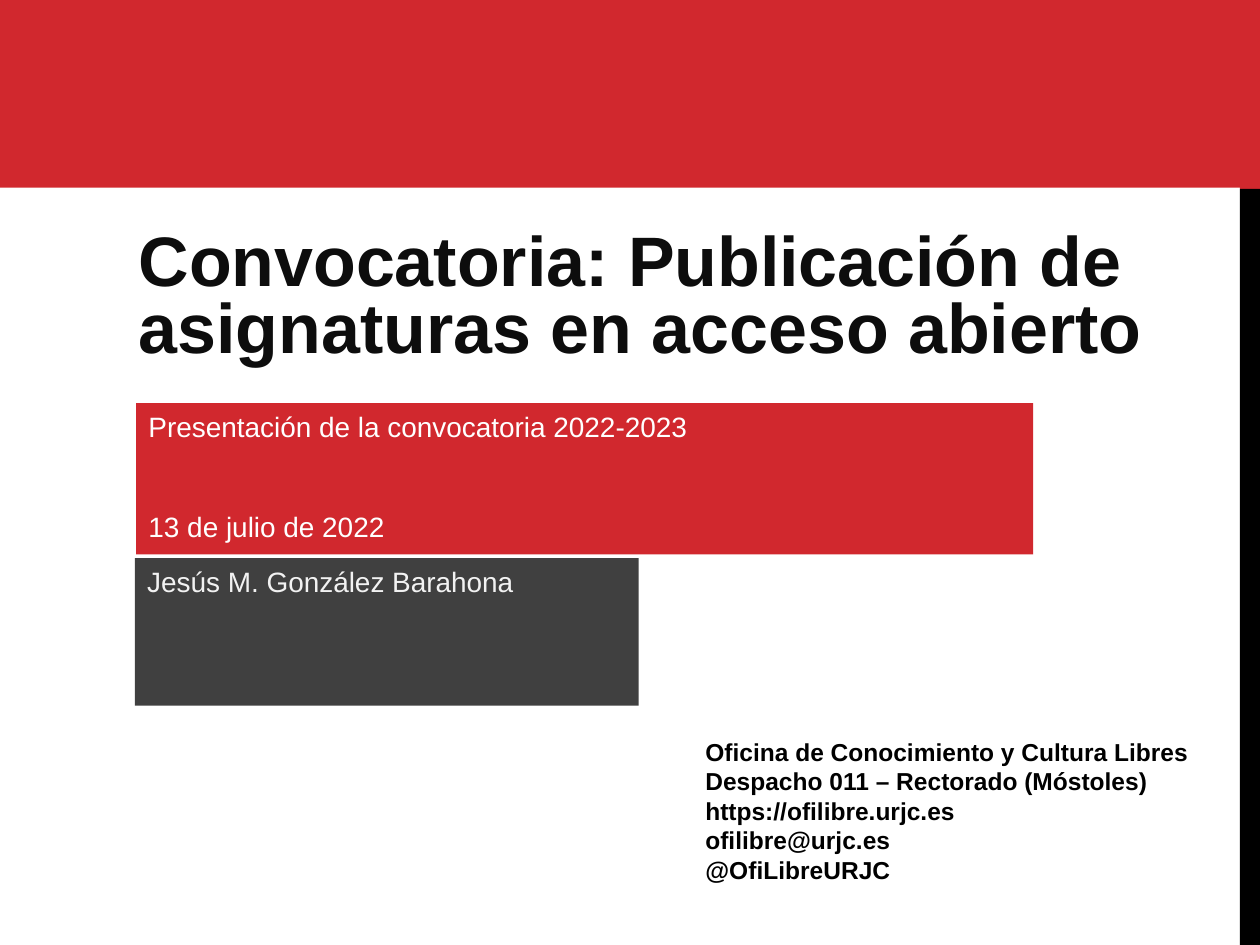
from pptx import Presentation
from pptx.dml.color import RGBColor
from pptx.enum.shapes import MSO_SHAPE
from pptx.enum.text import MSO_ANCHOR, PP_ALIGN
from pptx.util import Inches, Pt

RED = RGBColor(0xD1, 0x28, 0x2E)
BLACK = RGBColor(0x00, 0x00, 0x00)
TITLE_BLACK = RGBColor(0x0D, 0x0D, 0x0D)
DARK_GRAY = RGBColor(0x40, 0x40, 0x40)
LIGHT_GRAY = RGBColor(0xF2, 0xF2, 0xF2)
WHITE = RGBColor(0xFF, 0xFF, 0xFF)

RECTANGLE = MSO_SHAPE.RECTANGLE
TOP, BOTTOM = MSO_ANCHOR.TOP, MSO_ANCHOR.BOTTOM
LEFT = PP_ALIGN.LEFT

FONT = "Arial"
TITLE = "Convocatoria: Publicación de asignaturas en acceso abierto"
EVENT = ["Presentación de la convocatoria 2022-2023", "13 de julio de 2022"]
SPEAKER = ["Jesús M. González Barahona"]
CONTACT = [
    "Oficina de Conocimiento y Cultura Libres",
    "Despacho 011 – Rectorado (Móstoles)",
    "https://ofilibre.urjc.es",
    "ofilibre@urjc.es",
    "@OfiLibreURJC",
]


def write_lines(frame, lines, size, color, bold=False, gap=0, anchor=TOP):
    """Write one paragraph per line, with gap points between paragraphs."""
    frame.word_wrap = True
    frame.vertical_anchor = anchor
    for index, line in enumerate(lines):
        paragraph = frame.paragraphs[0] if index == 0 else frame.add_paragraph()
        paragraph.alignment = LEFT
        paragraph.space_before = Pt(gap if index else 0)
        run = paragraph.add_run()
        run.text = line
        run.font.name = FONT
        run.font.size = Pt(size)
        run.font.bold = bold
        run.font.color.rgb = color


def add_block(slide, left, top, width, height, color):
    block = slide.shapes.add_shape(
        RECTANGLE, Inches(left), Inches(top), Inches(width), Inches(height))
    block.shadow.inherit = False
    block.fill.solid()
    block.fill.fore_color.rgb = color
    block.line.fill.background()
    return block


def add_frame(slide):
    """Draw the red top band and the two-coloured strip on the right edge."""
    add_block(slide, 9.84, 0, 0.16, 1.5, RED)
    add_block(slide, 9.84, 1.5, 0.16, 6, BLACK)
    add_block(slide, 0, 0, 10, 1.49, RED)


def set_title(slide):
    title = slide.shapes.title
    title.left, title.top = Inches(1), Inches(1.6)
    title.width, title.height = Inches(8.21), Inches(1.36)
    write_lines(title.text_frame, [TITLE], 40, TITLE_BLACK, bold=True, anchor=BOTTOM)
    title.text_frame.paragraphs[0].line_spacing = 0.8


def add_contact(slide):
    contact = slide.shapes.add_textbox(
        Inches(5.5), Inches(5.8), Inches(4.14), Inches(1.29))
    write_lines(contact.text_frame, CONTACT, 14, BLACK, bold=True)


def main():
    presentation = Presentation()
    presentation.slide_width, presentation.slide_height = Inches(10), Inches(7.5)
    slide = presentation.slides.add_slide(presentation.slide_layouts[5])

    add_frame(slide)
    set_title(slide)
    event = add_block(slide, 1.08, 3.2, 7.12, 1.2, RED)
    write_lines(event.text_frame, EVENT, 16, WHITE, gap=38)
    speaker = add_block(slide, 1.07, 4.43, 4, 1.17, DARK_GRAY)
    write_lines(speaker.text_frame, SPEAKER, 16, LIGHT_GRAY)
    add_contact(slide)

    presentation.save("out.pptx")


if __name__ == "__main__":
    main()
